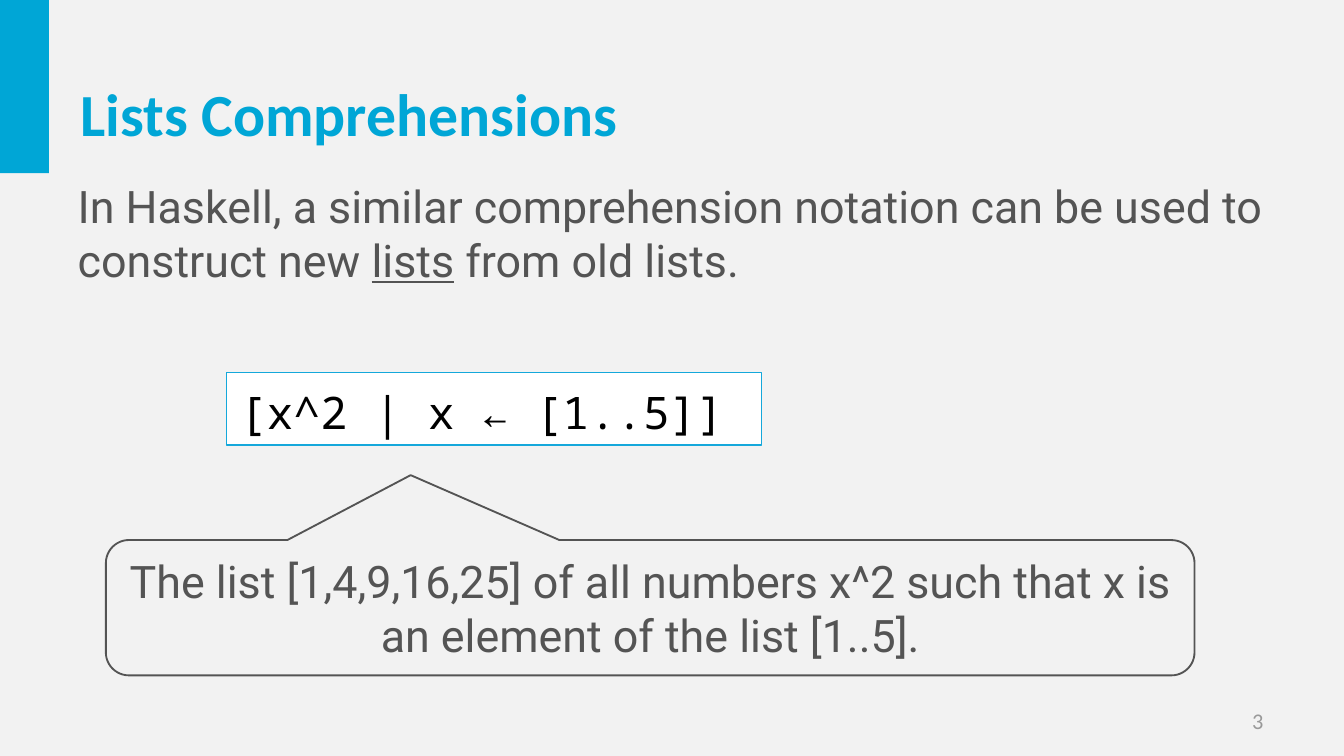
from dataclasses import dataclass
from typing import Optional

from pptx import Presentation
from pptx.dml.color import RGBColor
from pptx.enum.shapes import MSO_SHAPE
from pptx.enum.text import MSO_ANCHOR, PP_ALIGN
from pptx.util import Inches, Pt

WIDTH = 10
HEIGHT = WIDTH * 9 / 16
CYAN, GREY, BLACK, WHITE = "00A6D6", "545454", "000000", "FFFFFF"


@dataclass(frozen=True)
class Area:
    left: float
    top: float
    width: float
    height: float

    def lengths(self) -> tuple:
        return (Inches(self.left * WIDTH / 100), Inches(self.top * HEIGHT / 100),
                Inches(self.width * WIDTH / 100), Inches(self.height * HEIGHT / 100))


@dataclass(frozen=True)
class Style:
    font: str
    size: float
    color: str
    bold: bool = False
    align: PP_ALIGN = PP_ALIGN.LEFT
    spacing: float = 1.0
    wrap: bool = True


@dataclass(frozen=True)
class Outline:
    color: str
    points: float


@dataclass(frozen=True)
class Span:
    text: str
    underline: bool = False


@dataclass(frozen=True)
class Block:
    area: Area
    spans: tuple = ()
    style: Optional[Style] = None
    preset: Optional[MSO_SHAPE] = None
    fill: Optional[str] = None
    outline: Optional[Outline] = None
    adjustments: tuple = ()


BLOCKS = (
    Block(Area(0, 0, 3.65, 22.93), preset=MSO_SHAPE.RECTANGLE, fill=CYAN),
    Block(Area(71.7, 92.67, 23.3, 5.33), (Span("3"),),
          Style("Calibri", 12, "999999", align=PP_ALIGN.RIGHT)),
    Block(Area(5, 4.09, 90, 21.69), (Span("Lists Comprehensions"),),
          Style("Calibri", 32, CYAN, bold=True)),
    Block(Area(4.8, 22.71, 90.7, 16.18),
          (Span("In Haskell, a similar comprehension notation can be used to construct new "),
           Span("lists", underline=True),
           Span(" from old lists.")),
          Style("Roboto", 24, GREY)),
    Block(Area(16.85, 49.28, 39.8, 9.6), (Span("[x^2 | x ← [1..5]]"),),
          Style("Noto Sans Mono", 24, BLACK, spacing=1.1, wrap=False),
          MSO_SHAPE.RECTANGLE, WHITE, Outline("15A8DB", 0.75)),
    Block(Area(7.88, 71.44, 81, 17.9),
          (Span("The list [1,4,9,16,25] of all numbers x^2 such that x is "
                "an element of the list [1..5]."),),
          Style("Roboto", 24, GREY, align=PP_ALIGN.CENTER),
          MSO_SHAPE.ROUNDED_RECTANGULAR_CALLOUT, None, Outline(GREY, 1),
          (-0.22, -0.98, 0.17)),
)


def paint(color_format, color: str) -> None:
    color_format.rgb = RGBColor.from_string(color)


def fill_solid(fill, color: str) -> None:
    fill.solid()
    paint(fill.fore_color, color)


def add_preset(page, block: Block):
    shape = page.shapes.add_shape(block.preset, *block.area.lengths())
    shape.shadow.inherit = False
    for index, value in enumerate(block.adjustments):
        shape.adjustments[index] = value
    if block.fill:
        fill_solid(shape.fill, block.fill)
    else:
        shape.fill.background()
    if block.outline:
        fill_solid(shape.line.fill, block.outline.color)
        shape.line.width = Pt(block.outline.points)
    else:
        shape.line.fill.background()
    return shape


def write_text(box, spans: tuple, style: Style) -> None:
    frame = box.text_frame
    frame.word_wrap = style.wrap
    frame.vertical_anchor = MSO_ANCHOR.MIDDLE
    para = frame.paragraphs[0]
    para.alignment = style.align
    para.line_spacing = style.spacing
    para.font.name = style.font
    para.font.size = Pt(style.size)
    para.font.bold = style.bold
    paint(para.font.color, style.color)
    for span in spans:
        run = para.add_run()
        run.text = span.text
        if span.underline:
            run.font.underline = True


def draw_block(page, block: Block) -> None:
    if block.preset is None:
        box = page.shapes.add_textbox(*block.area.lengths())
    else:
        box = add_preset(page, block)
    if block.style:
        write_text(box, block.spans, block.style)


def main() -> None:
    deck = Presentation()
    deck.slide_width, deck.slide_height = Inches(WIDTH), Inches(HEIGHT)
    page = deck.slides.add_slide(deck.slide_layouts[6])
    fill_solid(page.background.fill, "F2F2F2")
    for block in BLOCKS:
        draw_block(page, block)
    deck.save("out.pptx")


if __name__ == "__main__":
    main()
